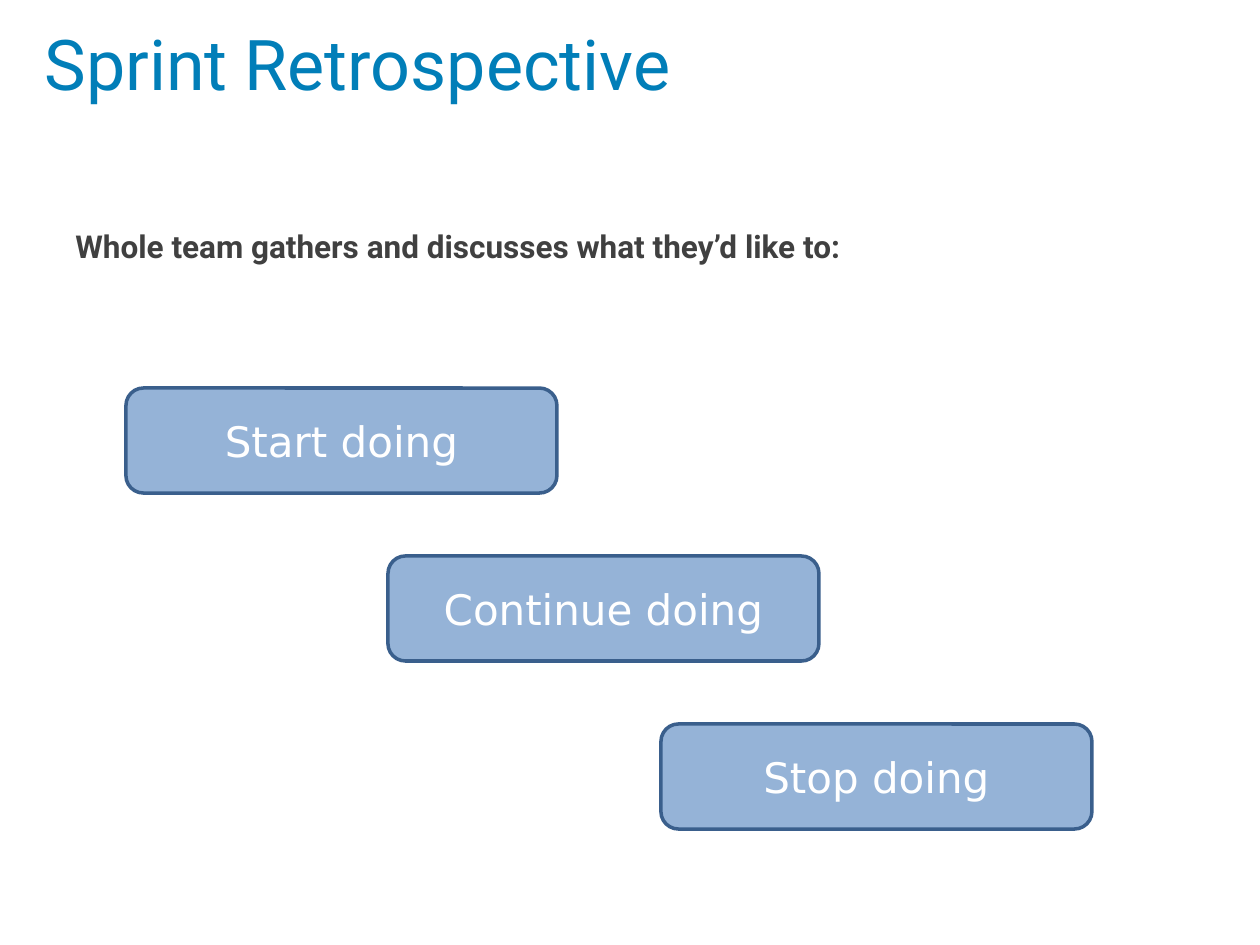
from pptx import Presentation
from pptx.dml.color import RGBColor
from pptx.enum.shapes import MSO_SHAPE
from pptx.enum.text import MSO_ANCHOR, PP_ALIGN
from pptx.util import Pt

EMU_PER_PX = 914400 / 126
COLORS = {
    "title": "017EB8",
    "text": "404040",
    "box": "95B3D7",
    "border": "3A5F8C",
    "label": "FFFFFF",
}


def px(n):
    return round(n * EMU_PER_PX)


def rgb(name):
    return RGBColor.from_string(COLORS[name])


def place(sp, left, top, width, height):
    sp.left, sp.top, sp.width, sp.height = map(px, (left, top, width, height))


def write(tf, text, size, font, color, anchor, align, bold=False):
    tf.word_wrap = True
    tf.vertical_anchor = anchor
    p = tf.paragraphs[0]
    p.text = text
    p.alignment = align
    p.font.size = Pt(size)
    p.font.name = font
    p.font.bold = bold
    p.font.color.rgb = rgb(color)


def add_title(s, text):
    sp = s.shapes.title
    place(sp, 32, 0, 1134, 126)
    write(sp.text_frame, text, 40, "Roboto", "title", MSO_ANCHOR.MIDDLE, PP_ALIGN.LEFT)


def add_intro(s, text):
    sp = s.shapes.add_textbox(0, 0, 0, 0)
    place(sp, 63, 221, 1134, 147)
    write(sp.text_frame, text, 18, "Roboto", "text", MSO_ANCHOR.TOP, PP_ALIGN.LEFT, True)


def add_box(s, text, left, top):
    sp = s.shapes.add_shape(MSO_SHAPE.FLOWCHART_ALTERNATE_PROCESS, 0, 0, 0, 0)
    place(sp, left, top, 431, 105)
    sp.shadow.inherit = False
    sp.fill.solid()
    sp.fill.fore_color.rgb = rgb("box")
    sp.line.color.rgb = rgb("border")
    sp.line.width = Pt(2)
    write(sp.text_frame, text, 24, "DejaVu Sans", "label", MSO_ANCHOR.MIDDLE, PP_ALIGN.CENTER)


def main():
    prs = Presentation()
    prs.slide_width, prs.slide_height = px(1260), px(945)
    s = prs.slides.add_slide(prs.slide_layouts[5])
    add_title(s, "Sprint Retrospective")
    add_intro(s, "Whole team gathers and discusses what they’d like to:")
    boxes = [("Start doing", 126), ("Continue doing", 388), ("Stop doing", 661)]
    for i, (text, left) in enumerate(boxes):
        add_box(s, text, left, 388 + 168 * i)
    prs.save("out.pptx")


if __name__ == "__main__":
    main()
